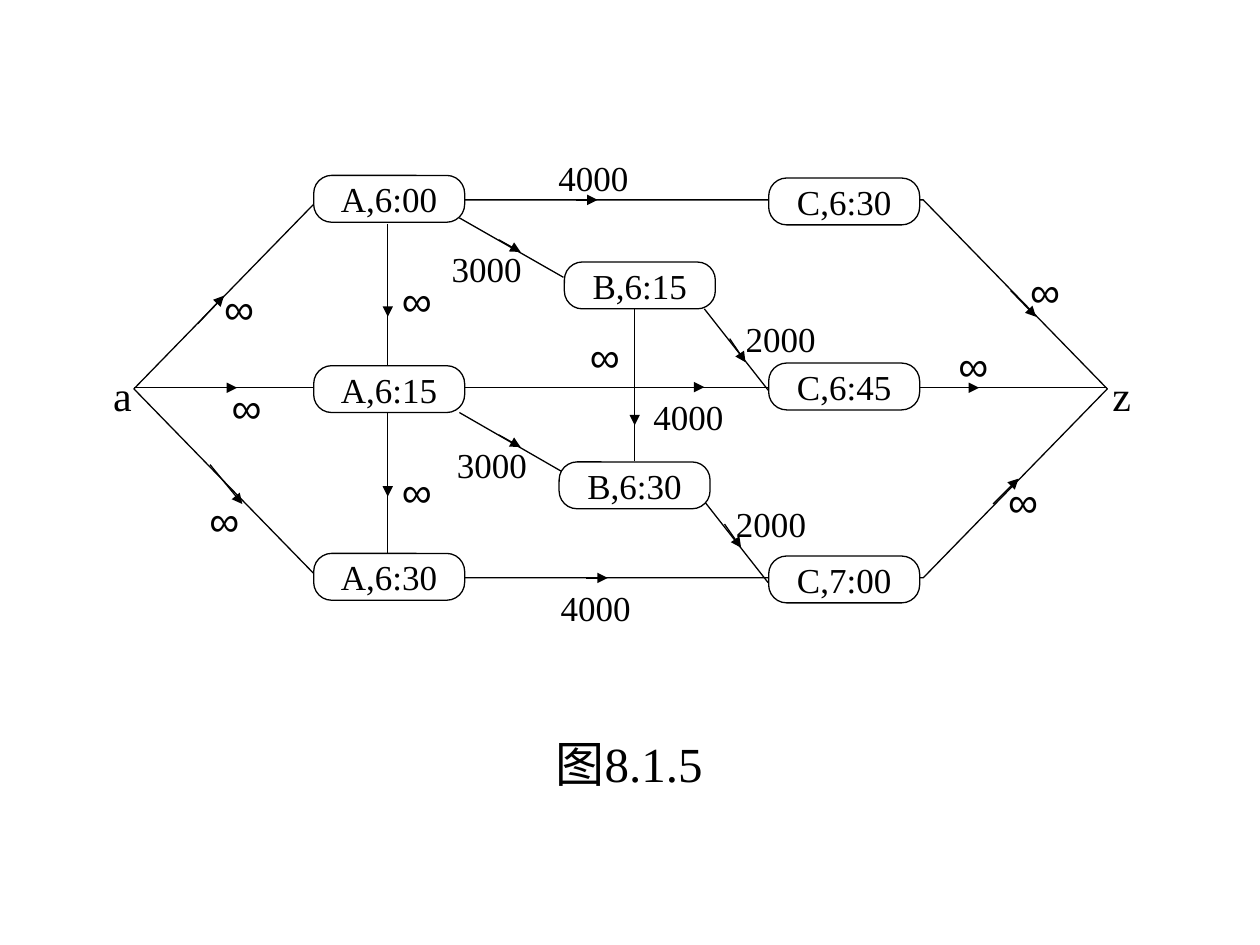
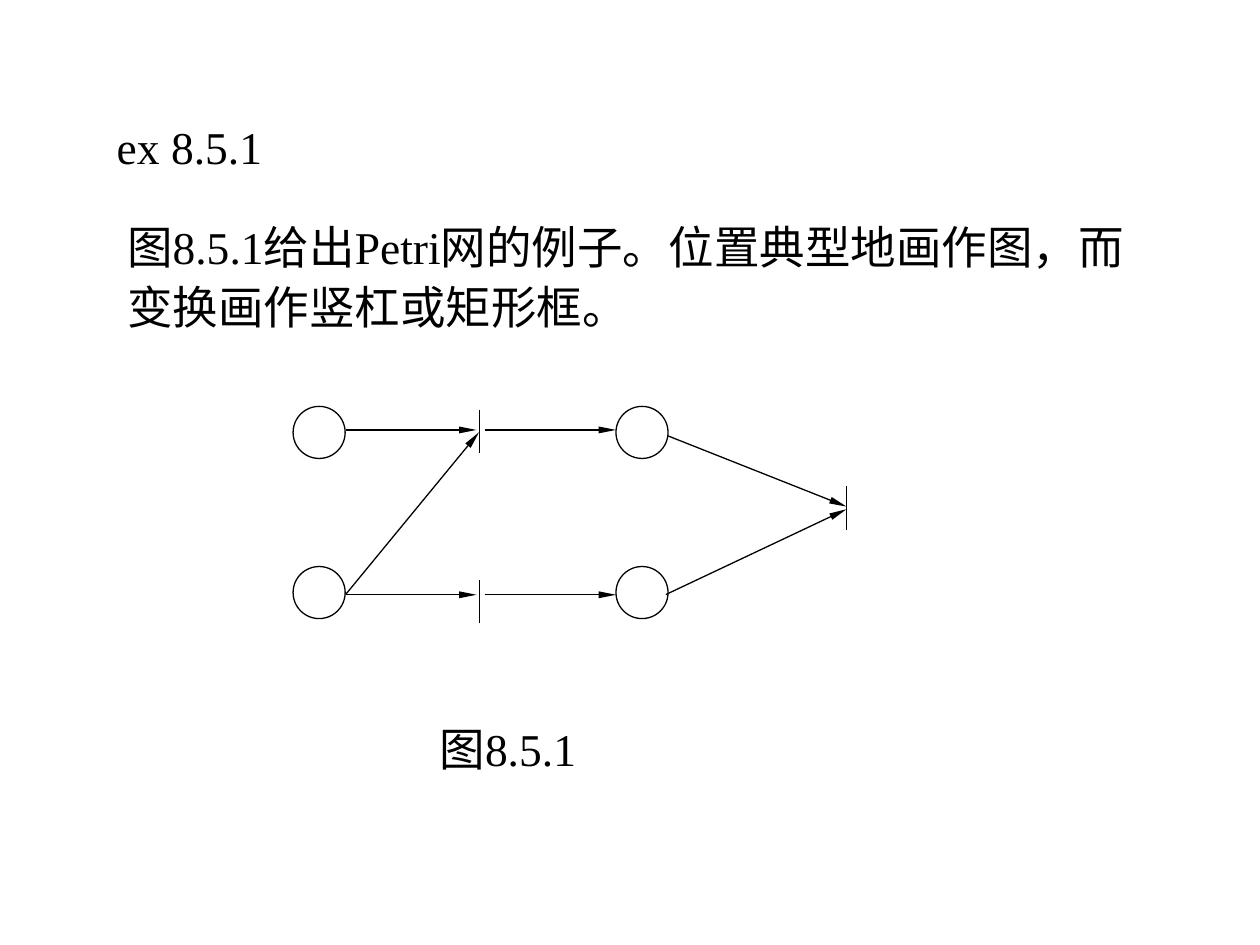
from dataclasses import dataclass

from lxml.etree import SubElement
from pptx import Presentation
from pptx.dml.color import RGBColor
from pptx.enum.shapes import MSO_CONNECTOR, MSO_SHAPE
from pptx.enum.text import MSO_ANCHOR, MSO_AUTO_SIZE, PP_ALIGN
from pptx.oxml.ns import qn
from pptx.util import Pt


@dataclass(frozen=True)
class Theme:
    ink: RGBColor = RGBColor(0, 0, 0)
    paper: RGBColor = RGBColor(255, 255, 255)
    line_width: float = 0.75
    text_font: str = "Times New Roman"
    symbol_font: str = "Arial"
    small: int = 20
    symbol: int = 24
    body: int = 26
    caption: int = 28


THEME = Theme()
TITLE_ONLY, BLANK = 5, 6
MEDIUM_HEAD, SLIM_HEAD = ("med", "med"), ("sm", "lg")

# Flight network: all positions in points
NODE_SIZE = (86.25, 26.75)
NODES = [
    ("A,6:00", 179.25, 100.25), ("A,6:15", 179.25, 209), ("A,6:30", 179.25, 316.25),
    ("B,6:15", 322.5, 149.75), ("B,6:30", 319.5, 264),
    ("C,6:30", 439.25, 101.75), ("C,6:45", 439.25, 207.5), ("C,7:00", 439.25, 317.75),
]
OUTLINE = (76.5, 114.25, 556.25, 216)
OUTLINE_SLANT = 0.487
MIDDLE_ARROW = (76.5, 221.6, 559.5, 221.6)
EDGES = [
    (221.6, 128, 221.6, 316), (526.5, 221.6, 632.5, 221.6),
    (362.7, 176.5, 362.7, 263.5),
    (262.5, 124.5, 322, 158.5), (262.5, 235.75, 322, 270),
    (402.5, 176.5, 439, 223), (402.5, 286.5, 439, 333),
]
# Short arrows that mark the direction of an edge
DIRECTIONS = [
    (113, 185, 128, 169), (123, 221.6, 135.5, 221.6), (120, 265.5, 138.5, 288),
    (221.6, 163.5, 221.6, 181), (221.6, 266.5, 221.6, 283.75),
    (329, 114.25, 341.5, 114.25), (334.75, 330.25, 347.25, 330.25),
    (285, 137, 297.5, 144), (285, 248.5, 297.5, 255.5),
    (417, 193.5, 426, 207), (414, 299.5, 423.5, 313),
    (388, 221.25, 402.5, 221.25), (362.7, 235.5, 362.7, 243),
    (577.5, 166, 592, 181), (567.5, 288, 582, 273.5),
]
CAPACITIES = {
    "4000": [(312, 86), (313.25, 331.5), (366.25, 222.5)],
    "3000": [(251, 138), (254, 249.75)],
    "2000": [(419, 177.75), (413.5, 283.75)],
}
UNLIMITED = [
    (121, 158), (125.25, 214.5), (112.5, 279.25), (222.5, 153.5), (222.5, 262.5),
    (330, 185.25), (540.5, 190.5), (581.5, 148), (569, 268),
]
TERMINALS = [("a", 57.5, 207.75), ("z", 628.5, 207.75)]
NETWORK_CAPTION = "图8.1.5"

# Petri net
PETRI_TITLE = "ex 8.5.1"
PETRI_TEXT = "图8.5.1给出Petri网的例子。位置典型地画作图，而变换画作竖杠或矩形框。"
PETRI_CAPTION = "图8.5.1"
PLACE_SIZE = 29.75
PLACE_COLUMNS, PLACE_ROWS = (167.5, 352), (232.25, 323.75)
BAR_HEIGHT = 25
BARS = [(273.9, 234), (273.9, 331.25), (483.6, 278)]
FLOW_ROWS = (245.7, 339.9)
FLOW_SPANS = [(197.5, 272.25), (277, 352)]
SLANTED_FLOWS = [
    (197.5, 339.75, 273.75, 247),
    (381.5, 249, 483.75, 289.5),
    (380.5, 339.75, 483.75, 291),
]


def style_paragraph(paragraph, size, font=THEME.text_font, align=PP_ALIGN.LEFT):
    paragraph.alignment = align
    paragraph.font.size = Pt(size)
    paragraph.font.name = font
    paragraph.font.color.rgb = THEME.ink


def add_text(slide, text, box, size, wrap=True, **style):
    text_box = slide.shapes.add_textbox(*map(Pt, box))
    frame = text_box.text_frame
    frame.word_wrap = wrap
    frame.text = text
    style_paragraph(frame.paragraphs[0], size, **style)
    return frame.paragraphs[0]


def add_outlined(slide, kind, box, filled=False):
    shape = slide.shapes.add_shape(kind, *map(Pt, box))
    shape.shadow.inherit = False
    if filled:
        shape.fill.solid()
        shape.fill.fore_color.rgb = THEME.paper
    else:
        shape.fill.background()
    shape.line.color.rgb = THEME.ink
    shape.line.width = Pt(THEME.line_width)
    return shape


def add_line(slide, ends, head=None):
    """Draw a line; head is the (width, length) of an arrowhead at its end."""
    line = slide.shapes.add_connector(MSO_CONNECTOR.STRAIGHT, *map(Pt, ends))
    line.line.color.rgb = THEME.ink
    line.line.width = Pt(THEME.line_width)
    if head:
        width, length = head
        SubElement(line.line._get_or_add_ln(), qn("a:tailEnd"),
                   type="triangle", w=width, len=length)
    SubElement(line._element.spPr, qn("a:effectLst"))


def add_node(slide, name, left, top):
    node = add_outlined(slide, MSO_SHAPE.ROUNDED_RECTANGLE,
                        (left, top, *NODE_SIZE), filled=True)
    node.adjustments[0] = 0.383
    frame = node.text_frame
    frame.word_wrap = False
    frame.vertical_anchor = MSO_ANCHOR.MIDDLE
    frame.text = name
    style_paragraph(frame.paragraphs[0], THEME.small, align=PP_ALIGN.CENTER)


def build_network(presentation):
    slide = presentation.slides.add_slide(presentation.slide_layouts[BLANK])

    # Edges lie under the nodes
    outline = add_outlined(slide, MSO_SHAPE.HEXAGON, OUTLINE)
    outline.adjustments[0] = OUTLINE_SLANT
    add_line(slide, MIDDLE_ARROW, head=MEDIUM_HEAD)
    for edge in EDGES:
        add_line(slide, edge)
    for name, left, top in NODES:
        add_node(slide, name, left, top)
    for direction in DIRECTIONS:
        add_line(slide, direction, head=MEDIUM_HEAD)

    # Labels
    for capacity, places in CAPACITIES.items():
        for place in places:
            add_text(slide, capacity, (*place, 56, 31.5), THEME.small, wrap=False)
    for place in UNLIMITED:
        add_text(slide, "∞", (*place, 32, 36), THEME.symbol, wrap=False,
                 font=THEME.symbol_font)
    for name, left, top in TERMINALS:
        add_text(slide, name, (left, top, 26, 36), THEME.symbol, wrap=False)
    add_text(slide, NETWORK_CAPTION, (306.25, 415.5, 106.5, 41), THEME.caption,
             align=PP_ALIGN.CENTER)


def build_petri_net(presentation):
    slide = presentation.slides.add_slide(presentation.slide_layouts[TITLE_ONLY])

    # Title and text
    title = slide.shapes.title
    title.left, title.top, title.width, title.height = map(Pt, (59.5, 64.25, 424, 39))
    frame = title.text_frame
    frame.auto_size = MSO_AUTO_SIZE.NONE
    frame.vertical_anchor = MSO_ANCHOR.TOP
    frame.text = PETRI_TITLE
    style_paragraph(frame.paragraphs[0], THEME.body)
    paragraph = add_text(slide, PETRI_TEXT, (65.5, 118.5, 585.5, 76), THEME.body)
    paragraph.line_spacing = 1.1

    # Places and transitions
    for left in PLACE_COLUMNS:
        for top in PLACE_ROWS:
            add_outlined(slide, MSO_SHAPE.OVAL, (left, top, PLACE_SIZE, PLACE_SIZE))
    for x, top in BARS:
        add_line(slide, (x, top, x, top + BAR_HEIGHT))

    # Flows
    level_flows = [(start, y, end, y) for y in FLOW_ROWS for start, end in FLOW_SPANS]
    for flow in level_flows + SLANTED_FLOWS:
        add_line(slide, flow, head=SLIM_HEAD)
    add_text(slide, PETRI_CAPTION, (244, 408.5, 114.5, 39), THEME.body)


def main():
    presentation = Presentation()
    presentation.slide_width, presentation.slide_height = Pt(720), Pt(540)
    build_network(presentation)
    build_petri_net(presentation)
    presentation.save("out.pptx")


if __name__ == "__main__":
    main()
